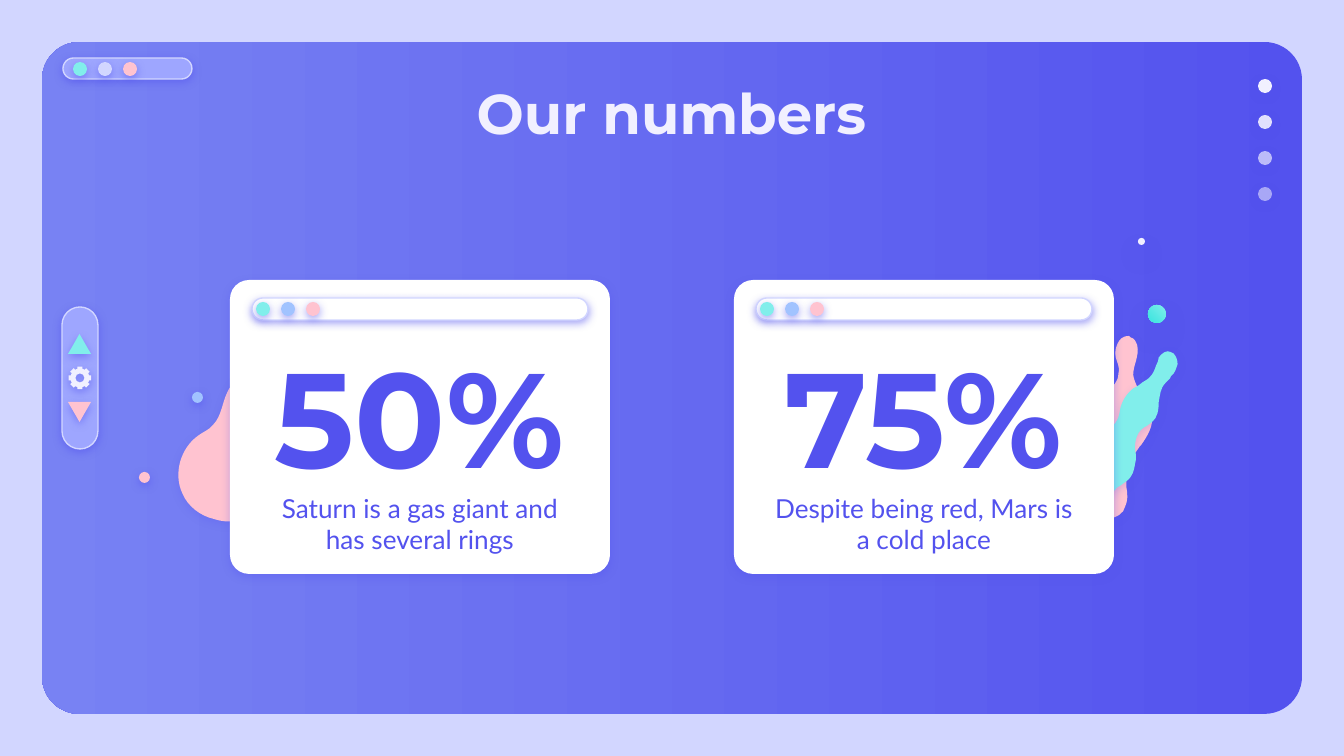
from dataclasses import dataclass
from math import cos, pi, sin

from lxml import etree
from pptx import Presentation
from pptx.dml.color import RGBColor
from pptx.enum.shapes import MSO_SHAPE as SHAPE
from pptx.enum.text import MSO_ANCHOR as ANCHOR, PP_ALIGN as ALIGN
from pptx.oxml.ns import qn
from pptx.util import Pt

PX = 914400 / 134.4
GRID = 1.344  # px per unit of the splash outlines


@dataclass(frozen=True)
class Theme:
    pale: str = "D2D6FF"
    deep: str = "5352EE"
    mid: str = "7882F3"
    bar: str = "9EA6FF"
    aqua: str = "81EEEB"
    teal: str = "3AE4DF"
    pink: str = "FFC3D0"
    sky: str = "A1C3FF"
    light: str = "F1F0FF"
    white: str = "FFFFFF"
    head: str = "Montserrat"
    body: str = "Lato"
    title_pt: int = 30
    number_pt: int = 72
    body_pt: int = 14


T = Theme()

# Bezier outlines: a start point, then two controls and an end per curve
PINK_SPLASH = [
    (51, 1), (51, 1), (50, 0), (50, 0), (47, 0), (45, 1), (44, 2),
    (40, 6), (39, 12), (40, 16), (40, 17), (41, 18), (41, 19),
    (42, 22), (43, 25), (42, 28), (42, 34), (38, 37), (35, 41),
    (34, 43), (32, 44), (30, 47), (27, 51), (26, 56), (28, 61),
    (28, 62), (28, 63), (29, 64), (30, 66), (30, 67), (31, 69),
    (31, 75), (28, 80), (25, 83), (25, 83), (24, 84), (24, 84),
    (21, 88), (19, 91), (18, 95), (17, 100), (19, 105), (21, 110),
    (23, 115), (25, 119), (25, 124), (25, 125), (25, 126), (25, 127),
    (25, 128), (25, 130), (25, 132), (25, 133), (26, 134), (28, 135),
    (29, 136), (30, 136), (31, 136), (32, 136), (34, 136), (35, 136),
    (41, 135), (46, 132), (47, 127), (49, 123), (49, 118), (48, 113),
    (48, 109), (48, 105), (48, 102), (49, 94), (54, 88), (58, 82),
    (59, 82), (59, 81), (59, 81), (64, 74), (68, 67), (67, 59),
    (67, 54), (63, 49), (60, 45), (57, 40), (54, 35), (53, 29),
    (53, 26), (54, 22), (55, 19), (56, 15), (57, 11), (56, 7),
    (55, 4), (54, 2), (51, 1)]
AQUA_SPLASH = [
    (81, 12), (78, 10), (74, 13), (72, 16), (72, 18), (71, 20), (70, 22),
    (69, 25), (68, 28), (65, 31), (63, 33), (60, 34), (58, 36),
    (57, 37), (55, 38), (53, 39), (48, 43), (44, 49), (43, 56),
    (42, 63), (39, 67), (32, 71), (26, 75), (19, 78), (18, 86),
    (17, 89), (18, 92), (18, 95), (19, 100), (19, 105), (16, 110),
    (15, 111), (14, 113), (12, 114), (12, 115), (11, 115), (10, 116),
    (8, 119), (6, 122), (6, 125), (5, 128), (6, 131), (7, 133),
    (8, 134), (8, 134), (9, 135), (10, 136), (11, 136), (12, 137),
    (16, 138), (21, 138), (24, 137), (30, 135), (31, 130), (33, 125),
    (34, 121), (35, 117), (39, 115), (40, 113), (42, 112), (44, 111),
    (46, 109), (49, 108), (51, 105), (54, 101), (54, 96), (55, 92),
    (55, 91), (55, 89), (55, 88), (54, 85), (54, 81), (55, 77),
    (56, 73), (58, 70), (61, 68), (62, 68), (62, 67), (63, 67),
    (64, 66), (66, 65), (67, 64), (71, 61), (72, 55), (72, 49),
    (73, 44), (73, 39), (77, 35), (78, 34), (79, 33), (80, 32),
    (80, 32), (81, 31), (81, 30), (84, 28), (85, 24), (86, 21),
    (86, 18), (85, 15), (83, 13), (82, 12), (82, 12), (81, 12)]
LEFT_SPLASH = [
    (89, 0), (91, 0), (93, 1), (94, 2), (103, 12), (87, 21), (83, 28),
    (80, 35), (83, 43), (84, 50), (84, 57), (83, 63), (76, 67),
    (72, 70), (68, 73), (65, 77), (61, 82), (60, 89), (60, 96),
    (61, 101), (63, 108), (63, 115), (63, 119), (63, 126), (59, 130),
    (55, 135), (49, 138), (45, 141), (44, 141), (42, 141), (41, 141),
    (37, 141), (33, 140), (30, 139), (21, 137), (11, 130), (7, 120),
    (0, 105), (6, 86), (19, 77), (23, 74), (27, 73), (30, 69),
    (36, 63), (37, 52), (40, 46), (49, 25), (67, 35), (74, 23),
    (76, 17), (78, 13), (79, 8), (80, 5), (83, 1), (87, 1),
    (88, 0), (89, 0), (89, 0)]


def emu(*lengths):
    return [round(v * PX) for v in lengths]


def rgb(color):
    return RGBColor.from_string(color)


def set_alpha(color_el, percent):
    etree.SubElement(color_el, qn("a:alpha")).set("val", str(percent * 1000))


def style(sp, fill, line=None, shadow=(50, 4.5, 1.5)):
    """Solid fill, optional outline, and a shadow of (opacity, blur, distance)."""
    sp.fill.solid()
    sp.fill.fore_color.rgb = rgb(fill)
    if line:
        sp.line.color.rgb = rgb(line)
        sp.line.width = Pt(0.75)
    else:
        sp.line.fill.background()
    sp.shadow.inherit = False
    if shadow:
        opacity, blur, dist = shadow
        effects = sp._element.spPr.find(qn("a:effectLst"))
        outer = etree.SubElement(
            effects, qn("a:outerShdw"), blurRad=str(Pt(blur)), dist=str(Pt(dist)),
            dir="5400000", algn="bl", rotWithShape="0")
        set_alpha(etree.SubElement(outer, qn("a:srgbClr"), val=T.deep), opacity)


def add_shape(s, kind, box, fill, adj=None, **look):
    sp = s.shapes.add_shape(kind, *emu(*box))
    if adj is not None:
        sp.adjustments[0] = adj
    style(sp, fill, **look)
    return sp


def add_dot(s, x, y, size, fill, **look):
    return add_shape(s, SHAPE.OVAL, (x, y, size, size), fill, **look)


def set_gradient(sp, start, end, angle):
    sp.fill.gradient()
    sp.fill.gradient_angle = angle
    for stop, color in zip(sp.fill.gradient_stops, (start, end)):
        stop.color.rgb = rgb(color)


def add_outline(s, curve, fill, opacity, polygon=()):
    """Freeform of a closed Bezier contour and, if given, a polygon."""
    start, *points = [emu(*pt) for pt in curve]
    fb = s.shapes.build_freeform(*start)
    fb.add_line_segments(points)
    if polygon:
        start, *corners = [emu(*pt) for pt in polygon]
        fb.move_to(*start)
        fb.add_line_segments(corners)
    sp = fb.convert_to_shape()
    # Join each three segments of the first contour into one curve
    segments = list(sp._element.iter(qn("a:lnTo")))[:len(points)]
    for a, b, c in zip(*[iter(segments)] * 3):
        a.tag = qn("a:cubicBezTo")
        for segment in (b, c):
            a.append(segment[0])
            segment.getparent().remove(segment)
    style(sp, fill, shadow=(opacity, 4.5, 1.5))


def add_splash(s, x, y, points, fill, opacity):
    add_outline(s, [(x + GRID * u, y + GRID * v) for u, v in points], fill, opacity)


def add_text(sp, text, size, font, color, bold=False, anchor=ANCHOR.MIDDLE):
    tf = sp.text_frame
    tf.word_wrap = True
    tf.vertical_anchor = anchor
    tf.margin_left = tf.margin_right = tf.margin_top = tf.margin_bottom = emu(13.44)[0]
    p = tf.paragraphs[0]
    p.text = text
    p.alignment = ALIGN.CENTER
    p.font.size, p.font.name, p.font.bold = Pt(size), font, bold
    p.font.color.rgb = rgb(color)


def window_bar(s, box, fill, pad, colors):
    x, y, _, _ = box
    add_shape(s, SHAPE.ROUNDED_RECTANGLE, box, fill, 0.5, line=T.pale)
    for i, color in enumerate(colors):
        add_dot(s, x + pad + 25 * i, y + 4, 14, color)


def backdrop(s, box):
    x, y, w, _ = box
    s.background.fill.solid()
    s.background.fill.fore_color.rgb = rgb(T.pale)
    panel = add_shape(s, SHAPE.ROUNDED_RECTANGLE, box, T.deep, 0.056, shadow=None)
    set_gradient(panel, T.deep, T.mid, 180)
    window_bar(s, (x + 21, y + 16, 129, 21), T.bar, 10, (T.aqua, T.pale, T.pink))
    # Fading column of dots
    for i, opacity in enumerate((100, 90, 67, 54)):
        sp = add_dot(s, x + w - 44, y + 37 + 36 * i, 14, T.light)
        if opacity < 100:
            set_alpha(sp._element.spPr.find(qn("a:solidFill"))[0], opacity)


def left_decor(s, x, y):
    add_splash(s, x + 34, y, LEFT_SPLASH, T.pink, 22)
    add_dot(s, x + 53, y + 60, 11, T.sky)
    add_dot(s, x, y + 140, 11, T.pink)


def right_decor(s, x, y):
    add_splash(s, x, y + 98, PINK_SPLASH, T.pink, 18)
    add_splash(s, x, y + 98, AQUA_SPLASH, T.aqua, 18)


def bubbles(s, x, y):
    glow = (38, 12.4, 6.8)
    big = add_dot(s, x + 10, y + 67, 18, T.aqua, shadow=glow)
    set_gradient(big, T.aqua, T.teal, 225)
    add_dot(s, x, y, 7, T.light, shadow=glow)


def number_card(s, box, number, caption):
    x, y, w, _ = box
    add_shape(s, SHAPE.ROUNDED_RECTANGLE, box, T.white, 0.065, shadow=(34, 4.5, 1.5))
    window_bar(s, (x + 22, y + 18, w - 44, 22), T.white, 4, (T.aqua, T.sky, T.pink))
    sp = add_shape(s, SHAPE.RECTANGLE, (x + 26, y + 58, w - 53, 153), T.white, shadow=None)
    add_text(sp, number, T.number_pt, T.head, T.deep, bold=True)
    sp = s.shapes.add_textbox(*emu(x + 22, y + 217, w - 44, 53))
    add_text(sp, caption, T.body_pt, T.body, T.deep)


def side_control(s, box):
    x, y, w, h = box
    add_shape(s, SHAPE.ROUNDED_RECTANGLE, box, T.bar, 0.5, line=T.pale)
    add_shape(s, SHAPE.ISOSCELES_TRIANGLE, (x + 6, y + 27, 23, 20), T.aqua)
    add_shape(s, SHAPE.ISOSCELES_TRIANGLE, (x + 6, y + 95, 23, 20), T.pink).rotation = 180
    # Gear: eight teeth around a round hole
    cx, cy = x + w / 2, y + h / 2

    def at(radius, angle):
        return cx + radius * cos(angle), cy + radius * sin(angle)

    teeth = [at(radius, pi / 4 * i + turn) for i in range(8)
             for radius, turn in ((9.5, -0.26), (11.5, -0.22), (11.5, 0.22), (9.5, 0.26))]
    # Quarter arcs run against the teeth; controls lie 0.5 rad in, 1.14 r out
    hole = [at(4.5, 0)] + [at(radius, -pi / 2 * i - turn) for i in range(4)
                           for radius, turn in ((5.14, 0.5), (5.14, pi / 2 - 0.5), (4.5, pi / 2))]
    add_outline(s, hole, T.light, 52, teeth)


def main():
    prs = Presentation()
    prs.slide_width, prs.slide_height = emu(1344, 756)
    s = prs.slides.add_slide(prs.slide_layouts[6])
    backdrop(s, (42, 42, 1260, 672))
    right_decor(s, 1062, 238)
    left_decor(s, 139, 332)
    cards = (("50%", "Saturn is a gas giant and has several rings"),
             ("75%", "Despite being red, Mars is a cold place"))
    for i, (number, caption) in enumerate(cards):
        number_card(s, (230 + 504 * i, 280, 380, 294), number, caption)
    title = s.shapes.add_textbox(*emu(105, 65, 1133, 85))
    add_text(title, "Our numbers", T.title_pt, T.head, T.light, True, ANCHOR.TOP)
    bubbles(s, 1138, 238)
    side_control(s, (62, 307, 36, 142))
    prs.save("out.pptx")


if __name__ == "__main__":
    main()
